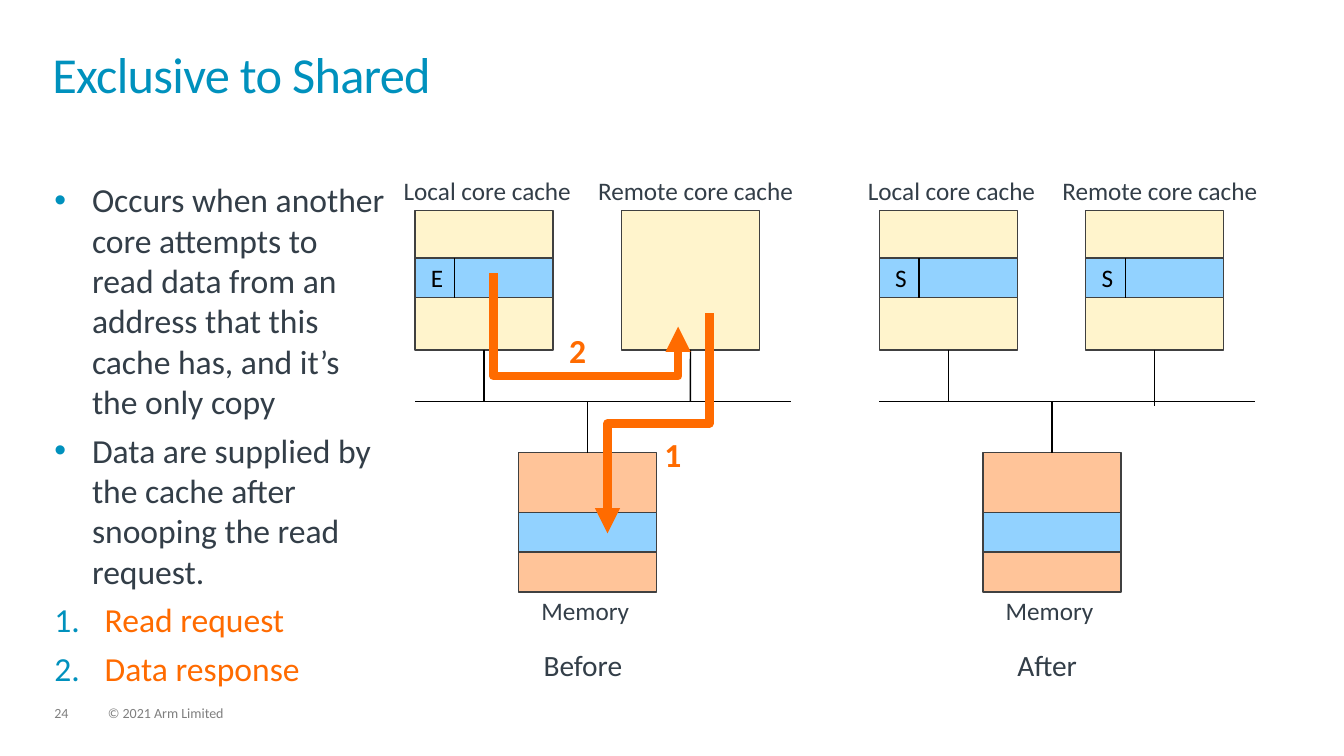
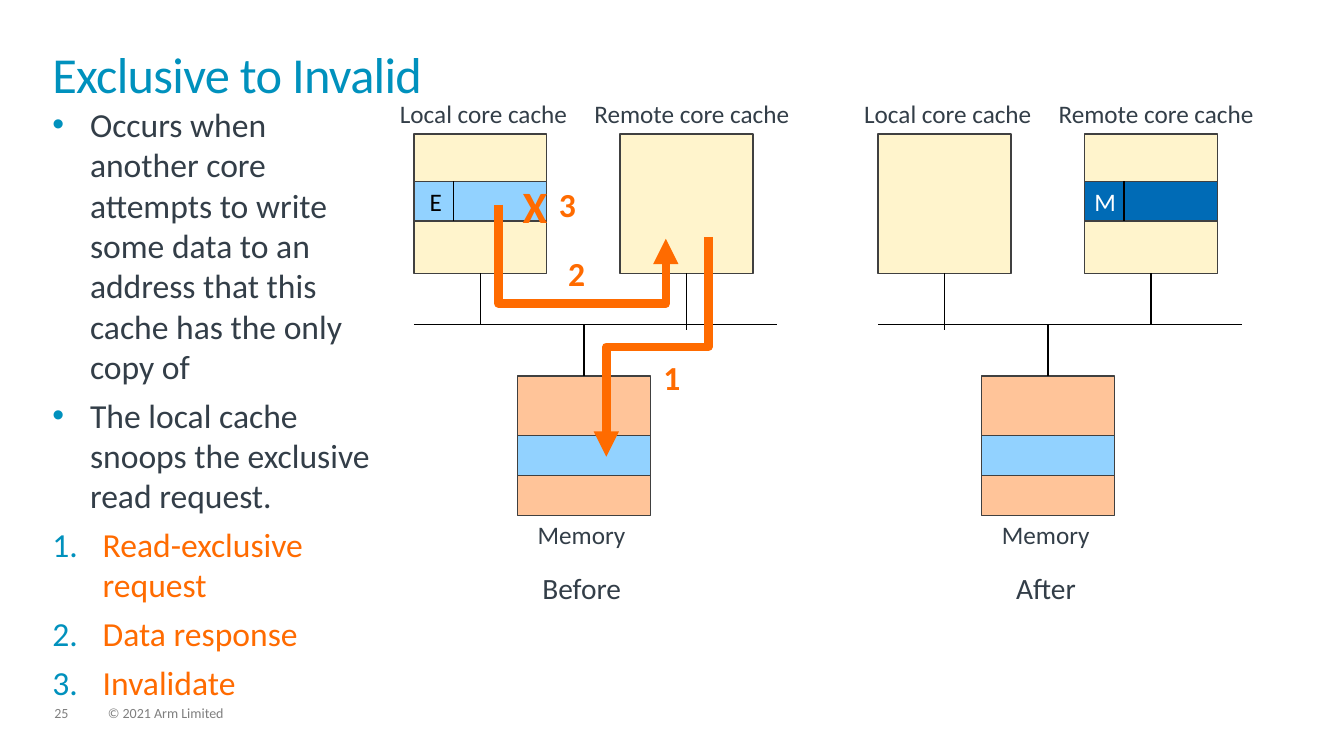
"""Build two slides on cache line state changes, each with a before and an after diagram."""
import lxml.etree
import pptx
import pptx.dml.color
import pptx.enum.shapes
import pptx.enum.text
import pptx.oxml.ns
import pptx.util

Cm = pptx.util.Cm
Pt = pptx.util.Pt
qn = pptx.oxml.ns.qn
RGB = pptx.dml.color.RGBColor.from_string
LEFT = pptx.enum.text.PP_ALIGN.LEFT
CENTER = pptx.enum.text.PP_ALIGN.CENTER
STRAIGHT = pptx.enum.shapes.MSO_CONNECTOR.STRAIGHT
ELBOW = pptx.enum.shapes.MSO_CONNECTOR.ELBOW

theme = {
    "font": "Calibri",
    "colors": {
        "blue": "0091BD", "text": "333E48", "gray": "7F7F7F", "orange": "FF6B00",
        "black": "000000", "white": "FFFFFF", "outline": "404040", "cache": "FFF4CC",
        "memory": "FFC499", "line": "92D2FF", "modified": "006BB6",
    },
    "text": {
        "title": {"size": 36, "color": "blue", "align": LEFT, "spacing": 0.85},
        "body": {"size": 24, "color": "text", "align": LEFT, "spacing": 1.0},
        "step": {"size": 24, "color": "orange", "align": LEFT, "spacing": 1.0},
        "footer": {"size": 10, "color": "gray", "align": LEFT, "spacing": 0.9},
        "label": {"size": 18, "color": "text", "align": CENTER, "spacing": 0.9},
        "stage": {"size": 21, "color": "text", "align": CENTER, "spacing": 0.9},
        "number": {"size": 24, "color": "orange", "align": CENTER, "spacing": 0.9, "bold": True},
        "cross": {"size": 32, "color": "orange", "align": CENTER, "spacing": 0.9, "bold": True},
        "state": {"size": 18, "color": "black", "align": LEFT, "spacing": 1.0},
        "modified": {"size": 18, "color": "white", "align": LEFT, "spacing": 1.0},
    },
}
colors = {name: RGB(value) for name, value in theme["colors"].items()}

slides = [
    {
        "number": "24", "title": "Exclusive to Shared",
        "body": (1.37, 4.52, 8.36),
        "bullets": [
            "Occurs when another core attempts to read data from an address that this "
            "cache has, and it’s the only copy",
            "Data are supplied by the cache after snooping the read request.",
        ],
        "steps": ["Read request", "Data response"],
        "left": 10.46, "top": 5.31, "block_width": 3.48, "bus_width": 9.47,
        "stages": [
            ("Before", [("E", 1.29), (None, 1.29)]),
            ("After", [("S", 1.29), ("S", 1.42)]),
        ],
        "response": {"start": (1.98, 1.57), "end": (6.63, 2.92), "bottom": 4.17},
        "marks": [],
    },
    {
        "number": "25", "title": "Exclusive to Invalid",
        "body": (1.32, 2.62, 8.1),
        "bullets": [
            "Occurs when another core attempts to write some data to an address that "
            "this cache has the only copy of",
            "The local cache snoops the exclusive read request.",
        ],
        "steps": ["Read-exclusive request", "Data response", "Invalidate"],
        "left": 10.43, "top": 3.38, "block_width": 3.35, "bus_width": 9.16,
        "stages": [
            ("Before", [("E", 1.29), (None, 1.42)]),
            ("After", [(None, 1.42), ("M", 1.29)]),
        ],
        "response": {"start": (2.13, 1.78), "end": (6.35, 2.64), "bottom": 4.27},
        "marks": [("3", 3.87, 1.37, "number"), ("X", 3.05, 1.27, "cross")],
    },
]

block_height, line_height, line_top = 3.51, 1.0, 1.19
cache_pitch, stage_pitch = 5.2, 11.7
bus_top, memory_left, memory_top, memory_line_top = 4.8, 2.61, 6.1, 7.6
cache_names = [("Local core cache", 0.08), ("Remote core cache", 0.13)]


def write(shape, texts, style_name, margin=0):
    """Fill a shape with styled paragraphs and return them."""
    style = theme["text"][style_name]
    frame = shape.text_frame
    frame_format = {"word_wrap": True, "margin_left": Cm(margin), "margin_right": 0,
                    "margin_top": 0, "margin_bottom": 0}
    for name, value in frame_format.items():
        setattr(frame, name, value)
    paragraphs = []
    for text in texts:
        paragraph = frame.add_paragraph() if paragraphs else frame.paragraphs[0]
        paragraph.alignment = style["align"]
        paragraph.line_spacing = style["spacing"]
        run = paragraph.add_run()
        run.text = text
        font_format = {"name": theme["font"], "size": Pt(style["size"]),
                       "bold": style.get("bold", False)}
        for name, value in font_format.items():
            setattr(run.font, name, value)
        run.font.color.rgb = colors[style["color"]]
        paragraphs.append(paragraph)
    return paragraphs


def draw_connector(slide, kind, start, end, color="black", width=1):
    """Draw a plain connector between two points in centimetres."""
    connector = slide.shapes.add_connector(kind, *[Cm(value) for value in (*start, *end)])
    connector.line.color.rgb = colors[color]
    connector.line.width = Pt(width)
    lxml.etree.SubElement(connector._element.spPr, qn("a:effectLst"))
    return connector


presentation = pptx.Presentation()
presentation.slide_width = Cm(33.87)
presentation.slide_height = Cm(19.05)

for content in slides:
    slide = presentation.slides.add_slide(presentation.slide_layouts[6])
    origin_left, origin_top = content["left"], content["top"]
    block_width = content["block_width"]

    frames = [
        (content["number"], 1.37, 17.81, 0.86, 0.38, "footer"),
        ("© 2021 Arm Limited", 2.72, 17.81, 12.88, 0.38, "footer"),
        (content["title"], 1.32, 1.32, 31.19, 1.83, "title"),
    ]
    for text, left, top, width, height, style_name in frames:
        box = slide.shapes.add_textbox(Cm(left), Cm(top), Cm(width), Cm(height))
        paragraphs = write(box, [text], style_name)
        if style_name == "title":
            paragraphs[0].runs[0]._r.get_or_add_rPr().set("spc", "-50")

    left, top, width = content["body"]
    body = slide.shapes.add_textbox(Cm(left), Cm(top), Cm(width), Cm(11.35))
    bullet_count = len(content["bullets"])
    for index, paragraph in enumerate(write(body, content["bullets"] + content["steps"], "body")):
        is_step = index >= bullet_count
        indent = Cm(1.27 if is_step else 0.95)
        properties = paragraph._p.get_or_add_pPr()
        properties.set("marL", str(indent))
        properties.set("indent", str(-indent))
        bullet_color = lxml.etree.SubElement(properties, qn("a:buClr"))
        lxml.etree.SubElement(bullet_color, qn("a:srgbClr"), val=theme["colors"]["blue"])
        if is_step:
            lxml.etree.SubElement(properties, qn("a:buFont"), typeface=theme["font"])
            lxml.etree.SubElement(properties, qn("a:buAutoNum"), type="arabicPeriod")
            paragraph.runs[0].font.color.rgb = colors[theme["text"]["step"]["color"]]
        else:
            lxml.etree.SubElement(properties, qn("a:buFont"), typeface="Arial")
            lxml.etree.SubElement(properties, qn("a:buChar"), char="•")
        paragraph.space_before = Pt(6 if index else 0)

    captions = []
    for stage_index, (stage_name, caches) in enumerate(content["stages"]):
        stage_left = origin_left + stage_index * stage_pitch
        memory_center = stage_left + memory_left + block_width / 2
        blocks = [
            (memory_left, memory_top, block_height, "memory", None),
            (memory_left, memory_line_top, line_height, "line", None),
        ]
        for cache_index, (state, stub) in enumerate(caches):
            cache_left = cache_index * cache_pitch
            blocks.append((cache_left, 0, block_height, "cache", stub))
            if state:
                fill = "modified" if state == "M" else "line"
                blocks.append((cache_left, line_top, line_height, fill, state))
            name, shift = cache_names[cache_index]
            center = stage_left + cache_left + block_width / 2 + shift
            captions.append((name, center, origin_top - 0.81, "label"))

        bus_y = origin_top + bus_top
        draw_connector(slide, STRAIGHT, (stage_left, bus_y),
                       (stage_left + content["bus_width"], bus_y))
        for left, top, height, fill, detail in blocks:
            left, top = stage_left + left, origin_top + top
            block = slide.shapes.add_shape(
                pptx.enum.shapes.MSO_SHAPE.RECTANGLE,
                Cm(left), Cm(top), Cm(block_width), Cm(height))
            block.shadow.inherit = False
            block.fill.solid()
            block.fill.fore_color.rgb = colors[fill]
            block.line.color.rgb = colors["outline"]
            block.line.width = Pt(1)
            center = left + block_width / 2
            if fill == "cache":
                bottom = top + height
                stub_line = draw_connector(slide, STRAIGHT, (center, bottom),
                                           (center, bottom + detail))
                stub_line.begin_connect(block, 2)
            elif fill == "memory":
                stub_line = draw_connector(slide, STRAIGHT, (center, bus_y), (center, top))
                stub_line.end_connect(block, 0)
            elif detail:
                style_name, margin = ("modified", 0.25) if detail == "M" else ("state", 0.4)
                write(block, [detail], style_name, margin)
                block.text_frame.vertical_anchor = pptx.enum.text.MSO_ANCHOR.MIDDLE
                draw_connector(slide, STRAIGHT, (left + 1, top), (left + 1, top + height))

        captions.append(("Memory", memory_center - 0.06, origin_top + 9.78, "label"))
        captions.append((stage_name, stage_left + 4.23, origin_top + 11.1, "stage"))

    response = content["response"]
    turn = (response["bottom"] - response["start"][1]) / (
        response["end"][1] - response["start"][1])
    arrows = [
        ((7.42, 2.59), (4.85, 8.13), {"rot": "5400000"}, "bentConnector3", [0.5]),
        (response["start"], response["end"], {"rot": "16200000", "flipH": "1"},
         "bentConnector4", [turn, 1]),
    ]
    for start, end, transform, preset, adjustments in arrows:
        width, height = abs(end[1] - start[1]), abs(end[0] - start[0])
        left = origin_left + (start[0] + end[0] - width) / 2
        top = origin_top + (start[1] + end[1] - height) / 2
        arrow = draw_connector(slide, ELBOW, (left, top), (left + width, top + height),
                               "orange", 6)
        for name, value in transform.items():
            arrow._element.spPr.xfrm.set(name, value)
        geometry = arrow._element.spPr.find(qn("a:prstGeom"))
        geometry.set("prst", preset)
        guides = geometry.find(qn("a:avLst"))
        for index, adjustment in enumerate(adjustments, 1):
            lxml.etree.SubElement(guides, qn("a:gd"), name=f"adj{index}",
                                  fmla=f"val {round(adjustment * 100000)}")
        lxml.etree.SubElement(arrow.line._get_or_add_ln(), qn("a:tailEnd"), type="triangle")

    marks = [("1", 6.5, 5.74, "number"), ("2", 4.1, 3.12, "number"), *content["marks"]]
    for text, center, top, style_name in marks:
        captions.append((text, origin_left + center, origin_top + top, style_name))
    for text, center, top, style_name in captions:
        width = 5.3 if style_name in ("label", "stage") else 0.9
        box = slide.shapes.add_textbox(Cm(center - width / 2), Cm(top), Cm(width), Cm(0.9))
        write(box, [text], style_name)

presentation.save("out.pptx")
